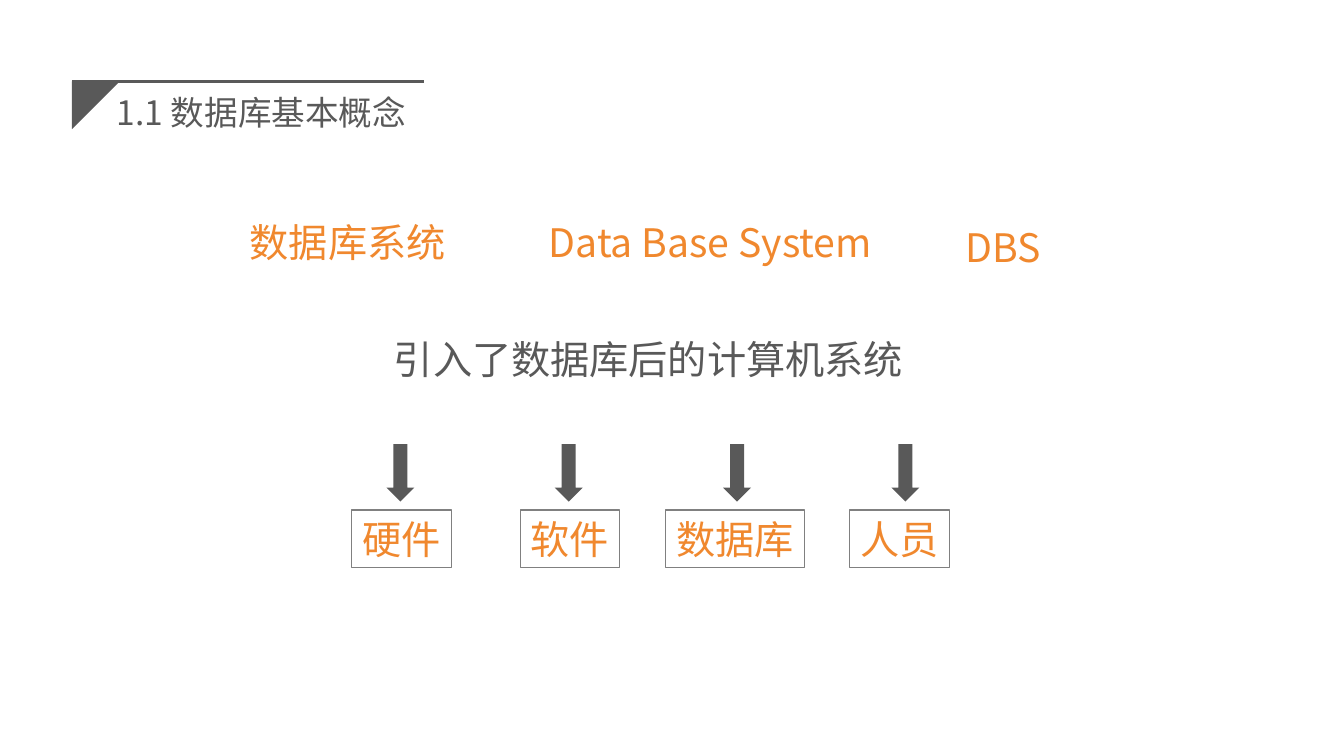
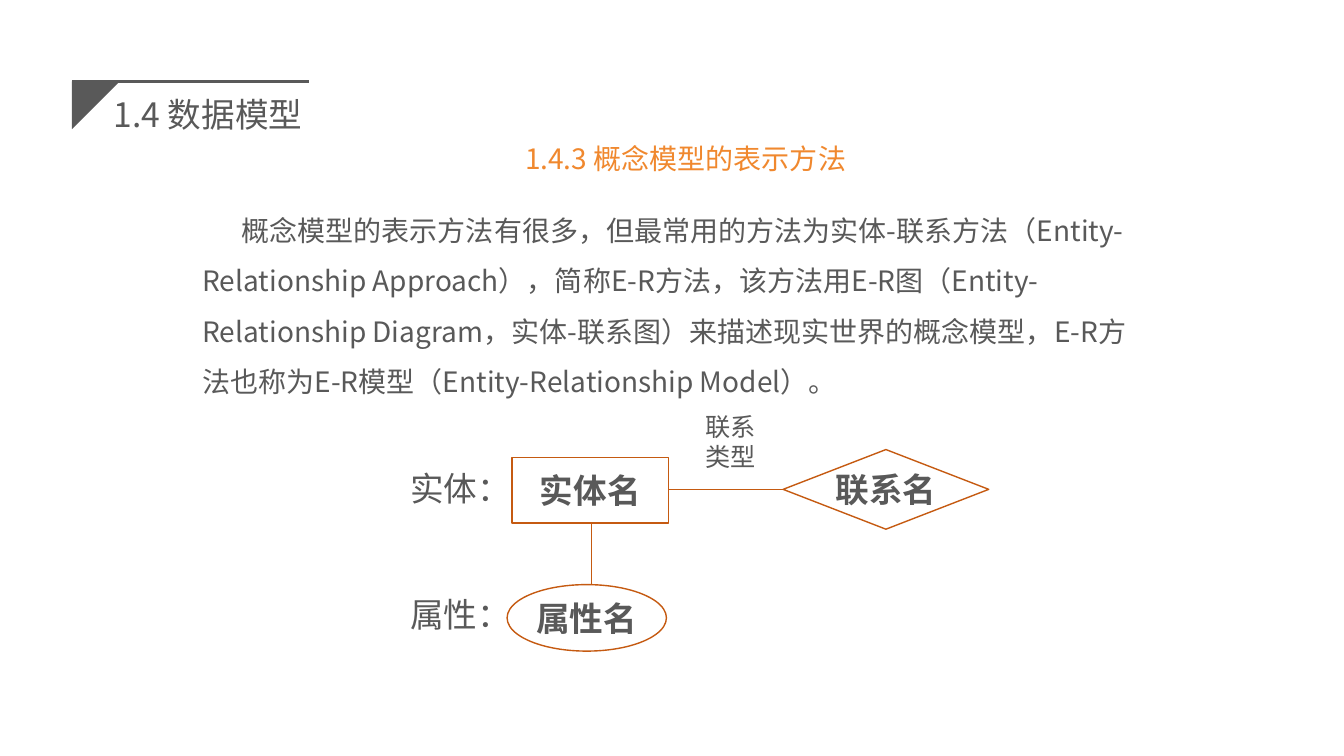
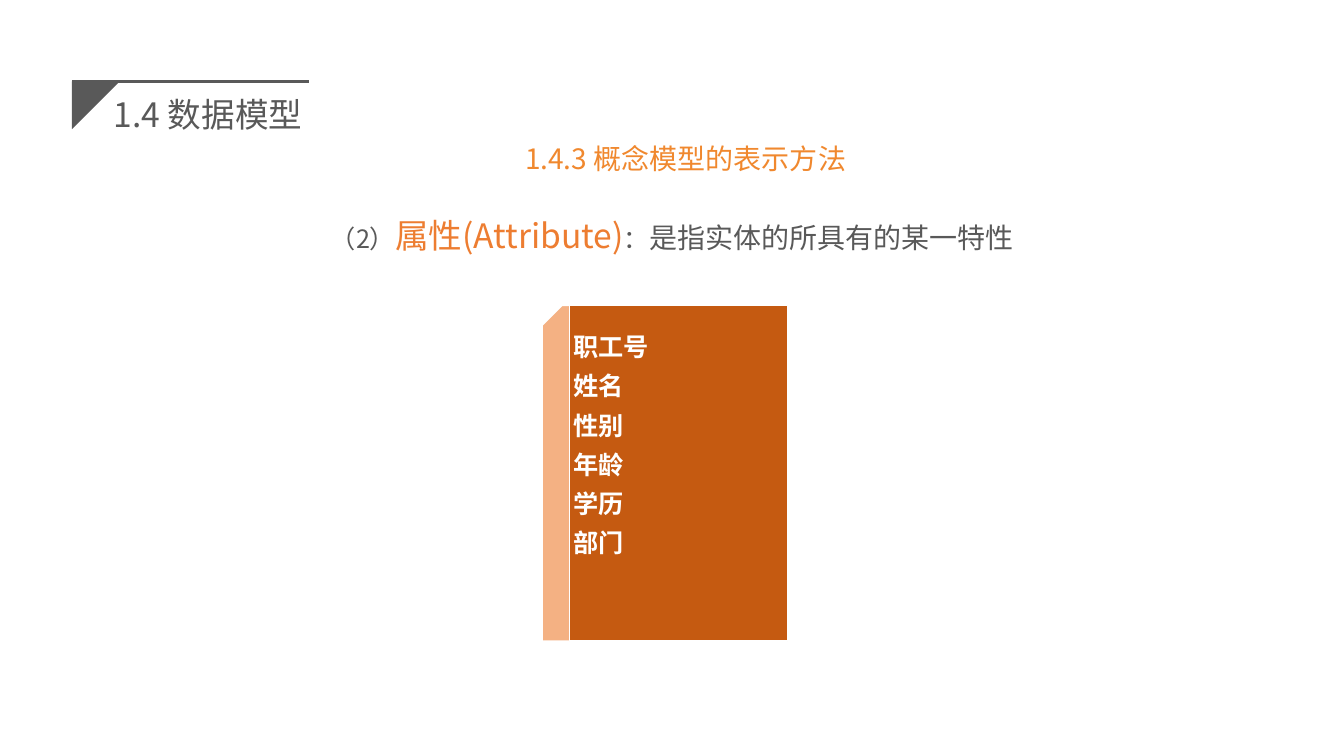
import dataclasses

import pptx
import pptx.dml.color
import pptx.enum.shapes
import pptx.enum.text
import pptx.oxml.ns
import pptx.util
import lxml.etree

Pt = pptx.util.Pt
Preset = pptx.enum.shapes.MSO_SHAPE
Align = pptx.enum.text.PP_ALIGN
Anchor = pptx.enum.text.MSO_ANCHOR


@dataclasses.dataclass(frozen=True)
class Theme:
    # Colours
    gray: str = "595959"
    border: str = "808080"
    orange: str = "F0882E"
    accent: str = "ED7D31"
    rust: str = "C55A11"
    peach: str = "F4B183"
    white: str = "FFFFFF"
    # Fonts
    font: str = "Noto Sans CJK SC"
    label_font: str = "Calibri"
    # Type sizes
    small: int = 18
    body: int = 20
    title: int = 24
    large: int = 28


THEME = Theme()


@dataclasses.dataclass(frozen=True)
class Run:
    text: str
    size: int
    color: str = THEME.gray
    bold: bool = False
    font: str = THEME.font


def rgb(color):
    return pptx.dml.color.RGBColor.from_string(color)


# Text
def write(frame, paragraphs, align=Align.LEFT, spacing=None, indent=0):
    """Fill a text frame; each paragraph is a list of runs."""
    for index, runs in enumerate(paragraphs):
        paragraph = frame.add_paragraph() if index else frame.paragraphs[0]
        paragraph.alignment = align
        if spacing:
            paragraph.line_spacing = spacing
        if indent:
            properties = paragraph._p.get_or_add_pPr()
            properties.set("indent", str(Pt(indent)))
        for item in runs:
            run = paragraph.add_run()
            run.text = item.text
            run.font.size = Pt(item.size)
            run.font.bold = item.bold
            run.font.color.rgb = rgb(item.color)
            run.font.name = item.font
            east_asian = lxml.etree.SubElement(
                run._r.get_or_add_rPr(), pptx.oxml.ns.qn("a:ea"))
            east_asian.set("typeface", THEME.font)


def add_text(slide, left, top, width, height, paragraphs, **style):
    box = slide.shapes.add_textbox(Pt(left), Pt(top), Pt(width), Pt(height))
    box.text_frame.word_wrap = True
    write(box.text_frame, paragraphs, **style)


# Shapes and lines
def paint(shape, fill=None, line=None, weight=1):
    shape.shadow.inherit = False
    if fill:
        shape.fill.solid()
        shape.fill.fore_color.rgb = rgb(fill)
    else:
        shape.fill.background()
    if line:
        shape.line.color.rgb = rgb(line)
        shape.line.width = Pt(weight)
    else:
        shape.line.fill.background()


def add_shape(slide, preset, left, top, width, height, label=None, **style):
    shape = slide.shapes.add_shape(
        preset, Pt(left), Pt(top), Pt(width), Pt(height))
    paint(shape, **style)
    if label:
        frame = shape.text_frame
        frame.word_wrap = False
        frame.vertical_anchor = Anchor.MIDDLE
        frame.margin_left = frame.margin_right = 0
        write(frame, [[label]], align=Align.CENTER)
    return shape


def add_line(slide, start, end, color, weight):
    line = slide.shapes.add_connector(
        pptx.enum.shapes.MSO_CONNECTOR.STRAIGHT,
        *(Pt(value) for value in (*start, *end)))
    line.line.color.rgb = rgb(color)
    line.line.width = Pt(weight)
    lxml.etree.SubElement(line._element.spPr, pptx.oxml.ns.qn("a:effectLst"))


# Shared slide furniture
def add_title(slide, text, left, top, rule_end):
    corner_left, corner_top, side = 51.4, 58.2, 34
    builder = slide.shapes.build_freeform(Pt(corner_left), Pt(corner_top))
    builder.add_line_segments([
        (Pt(corner_left + side), Pt(corner_top)),
        (Pt(corner_left), Pt(corner_top + side))])
    paint(builder.convert_to_shape(), fill=THEME.gray)
    add_line(slide, (corner_left, corner_top), (rule_end, corner_top),
             THEME.gray, 1.75)
    add_text(slide, left, top, 240, 36, [[Run(text, THEME.title)]])


def add_model_heading(slide):
    add_title(slide, "1.4 数据模型", 74.2, 63.4, 221)
    add_text(slide, 368, 85.7, 412, 39.6,
             [[Run("1.4.3 概念模型的表示方法", THEME.body, THEME.orange)]],
             spacing=1.5)


# Slides
def build_system_slide(slide):
    add_title(slide, "1.1 数据库基本概念", 76.3, 62, 303)

    # Term in three forms
    for text, left, top, width in (
            ("数据库系统", 122.4, 152.6, 252),
            ("Data Base System", 315.4, 152.6, 383.8),
            ("DBS", 655.2, 156.2, 123)):
        add_text(slide, left, top, width, 41,
                 [[Run(text, THEME.large, THEME.orange)]], align=Align.CENTER)
    add_text(slide, 274.3, 236.2, 384, 41,
             [[Run("引入了数据库后的计算机系统", THEME.large)]])

    # Components, each below an arrow
    arrow_left, arrow_pitch = 276, 120.25
    for index, (text, left, width) in enumerate((
            ("硬件", 251.3, 71.3), ("软件", 371.5, 71.3),
            ("数据库", 475.2, 99.4), ("人员", 607, 71.3))):
        add_shape(slide, Preset.DOWN_ARROW, arrow_left + index * arrow_pitch,
                  317.3, 20, 41, fill=THEME.gray)
        add_shape(slide, Preset.RECTANGLE, left, 364.3, width, 41,
                  Run(text, THEME.large, THEME.orange),
                  line=THEME.border, weight=0.75)


def build_diagram_slide(slide):
    add_model_heading(slide)
    add_text(slide, 137.5, 136.8, 684.7, 152.6, [[Run(
        "概念模型的表示方法有很多，但最常用的方法为实体-联系方法"
        "（Entity-Relationship Approach），简称E-R方法，该方法用E-R图"
        "（Entity-Relationship Diagram，实体-联系图）来描述现实世界的概念模型，"
        "E-R方法也称为E-R模型（Entity-Relationship Model）。",
        THEME.body)]], spacing=1.5, indent=28)

    # Row labels
    for text, top in (("实体：", 330.5), ("属性：", 420.5)):
        add_text(slide, 286, top, 68.4, 36,
                 [[Run(text, THEME.title, font=THEME.label_font)]])

    # Entity, attribute and relationship symbols
    for text, preset, left, top, width, height in (
            ("实体名", Preset.RECTANGLE, 365.8, 326.9, 111.6, 46.8),
            ("属性名", Preset.OVAL, 362.2, 417.6, 113.8, 47.5),
            ("联系名", Preset.DIAMOND, 559.4, 321.1, 146.9, 56.9)):
        add_shape(slide, preset, left, top, width, height,
                  Run(text, THEME.title, bold=True, font=THEME.label_font),
                  line=THEME.rust)

    # Links
    add_line(slide, (477.4, 349.8), (559.4, 349.8), THEME.rust, 1)
    add_line(slide, (422.6, 373.7), (422.6, 418), THEME.rust, 1)
    add_text(slide, 496.8, 290.2, 54.7, 51,
             [[Run(text, THEME.small)] for text in ("联系", "类型")])


def build_attribute_slide(slide):
    add_model_heading(slide)
    add_text(slide, 227.5, 149.8, 505.4, 36, [[
        Run("（2）", THEME.small),
        Run("属性(Attribute)", THEME.title, THEME.accent),
        Run("：", THEME.small),
        Run("是指实体的所具有的某一特性", THEME.body)]], align=Align.CENTER)

    # Card with a clipped left edge
    edge = add_shape(slide, Preset.SNIP_1_RECTANGLE, 387.4, 218.2, 175, 239.8,
                     fill=THEME.peach, line=THEME.white)
    edge.adjustments[0] = 0.08
    edge._element.spPr.xfrm.set("flipH", "1")
    add_shape(slide, Preset.RECTANGLE, 406.8, 218.2, 155.6, 239.8,
              fill=THEME.rust, line=THEME.white)
    attributes = ("职工号", "姓名", "性别", "年龄", "学历", "部门")
    add_text(slide, 402.5, 226.8, 145.4, 177,
             [[Run(text, THEME.small, THEME.white, bold=True)]
              for text in attributes], spacing=Pt(28))


def main():
    presentation = pptx.Presentation()
    presentation.slide_width = Pt(960)
    presentation.slide_height = Pt(540)
    blank = presentation.slide_layouts[6]
    for build in (build_system_slide, build_diagram_slide,
                  build_attribute_slide):
        build(presentation.slides.add_slide(blank))
    presentation.save("out.pptx")


if __name__ == "__main__":
    main()
